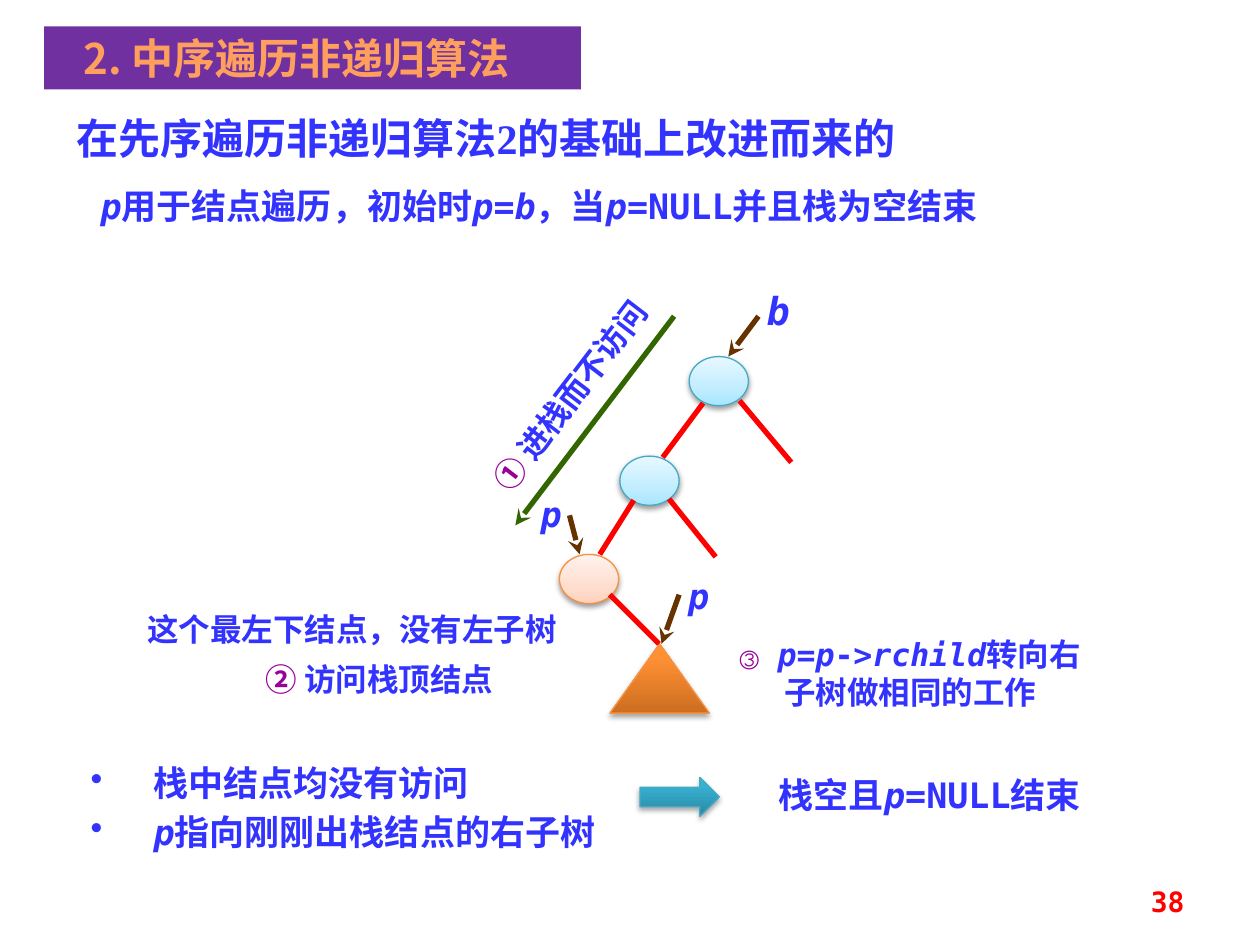
from lxml import etree
from pptx import Presentation
from pptx import util as u
from pptx.dml.color import RGBColor
from pptx.enum import shapes, text
from pptx.oxml import parse_xml
from pptx.oxml import ns

C = dict(purple="7030A0", orange="FF9F5D", blue="3333FF", mark="990099",
         edge="FF0000", brown="663300", green="336600", number="FF0000",
         teal="46AAC5", rust="F69240", shadow="000000")
CYAN = [(0, "A7E6FF"), (35, "C1EDFF"), (100, "E7F8FF")]
PEACH = [(0, "FFD2BD"), (35, "FFDED0"), (100, "FFF2ED")]
AMBER = [(0, "CC6E20"), (80, "FF9034"), (100, "FF9136")]
TEAL = [(0, "2A88A2"), (80, "37B1D2"), (100, "34B4D6")]
MONO, SERIF, SANS = "DejaVu Sans Mono", "Times New Roman", "Noto Sans CJK SC"
SHAPE, ALIGN = shapes.MSO_SHAPE, text.PP_ALIGN


def rgb(name):
    return RGBColor.from_string(C[name])


def inches(*values):
    return [u.Inches(v) for v in values]


def add_run(p, words, size, font, color, italic=False):
    r = p.add_run()
    r.text = words
    f = r.font
    f.size, f.name, f.bold, f.italic = u.Pt(size), font, True, italic
    f.color.rgb = rgb(color)
    ea = etree.SubElement(r._r.get_or_add_rPr(), ns.qn("a:ea"))
    ea.set("typeface", SANS)


def write(sp, *lines, size=20, font=MONO, color="blue", mark="", align=ALIGN.LEFT,
          inset=0.0, spacing=None, bullet=False, anchor=text.MSO_ANCHOR.TOP):
    """Fill a shape with paragraphs; words between asterisks are italic."""
    tf = sp.text_frame
    tf.word_wrap, tf.auto_size = True, text.MSO_AUTO_SIZE.NONE
    tf.vertical_anchor = anchor
    tf.margin_left = tf.margin_right = u.Inches(inset)
    tf.margin_top = tf.margin_bottom = u.Inches(inset / 2)
    for i, line in enumerate(lines):
        p = tf.add_paragraph() if i else tf.paragraphs[0]
        p.alignment = align
        if spacing:
            p.line_spacing = spacing
        if bullet:
            pPr = p._p.get_or_add_pPr()
            pPr.set("marL", str(u.Inches(0.5)))
            pPr.set("indent", str(u.Inches(-0.5)))
            etree.SubElement(pPr, ns.qn("a:buChar")).set("char", "•")
        if mark:
            add_run(p, mark, size, font, "mark")
        for k, words in enumerate(line.split("*")):
            if words:
                add_run(p, words, size, font, color, italic=k % 2 == 1)
    return sp


def add_text(s, box, *lines, **fmt):
    return write(s.shapes.add_textbox(*inches(*box)), *lines, **fmt)


def add_solid(s, kind, box, stops, line, alpha=35, dist=1.8):
    """Shape with an upward gradient and a soft shadow below it."""
    sp = s.shapes.add_shape(kind, *inches(*box))
    sp.fill.gradient()
    sp.fill.gradient_angle = 90
    gs_list = sp._element.spPr.find(".//" + ns.qn("a:gsLst"))
    for gs in list(gs_list):
        gs_list.remove(gs)
    for pos, color in stops:
        gs = etree.SubElement(gs_list, ns.qn("a:gs"), pos=str(pos * 1000))
        etree.SubElement(gs, ns.qn("a:srgbClr"), val=color)
    sp.line.color.rgb = rgb(line)
    sp.line.width = u.Pt(0.75)
    sp._element.spPr.append(parse_xml(
        f'<a:effectLst {ns.nsdecls("a")}><a:outerShdw blurRad="{u.Pt(3.1)}" '
        f'dist="{u.Pt(dist)}" dir="5400000" rotWithShape="0">'
        f'<a:srgbClr val="{C["shadow"]}"><a:alpha val="{alpha * 1000}"/></a:srgbClr>'
        '</a:outerShdw></a:effectLst>'))


def add_line(s, x1, y1, x2, y2, color, arrow=False):
    ln = s.shapes.add_connector(shapes.MSO_CONNECTOR.STRAIGHT, *inches(x1, y1, x2, y2))
    ln.line.color.rgb = rgb(color)
    ln.line.width = u.Pt(3)
    if arrow:
        etree.SubElement(ln.line._get_or_add_ln(), ns.qn("a:tailEnd"), type="stealth")
    etree.SubElement(ln._element.spPr, ns.qn("a:effectLst"))


def add_title(s, box):
    sp = s.shapes.title
    sp.left, sp.top, sp.width, sp.height = inches(*box)
    sp.fill.solid()
    sp.fill.fore_color.rgb = rgb("purple")
    write(sp, "2. 中序遍历非递归算法", size=24, font=SANS, color="orange",
          align=ALIGN.CENTER, inset=0.1)
    sp.text_frame.margin_right = u.Inches(0.35)


def add_intro(s, x, y):
    add_text(s, (x, y, 6.93, 0.5), "在先序遍历非递归算法2的基础上改进而来的",
             size=24, font=SERIF, inset=0.1)
    add_text(s, (x + 0.19, y + 0.64, 8.31, 0.37),
             "*p*用于结点遍历，初始时*p*=*b*，当*p*=NULL并且栈为空结束",
             inset=0.1, spacing=0.8)


def add_tree(s, x, y):
    # Nodes and right subtree
    for dx, dy, stops, line in [(2.06, 0.55, CYAN, "teal"), (1.51, 1.34, CYAN, "teal"),
                                (1.03, 2.12, PEACH, "rust")]:
        add_solid(s, SHAPE.OVAL, (x + dx, y + dy, 0.47, 0.39), stops, line,
                  alpha=38, dist=1.6)
    add_solid(s, SHAPE.ISOSCELES_TRIANGLE, (x + 1.43, y + 2.83, 0.79, 0.55), AMBER, "rust")

    # Edges
    for x1, y1, x2, y2 in [(2.17, 0.92, 1.85, 1.35), (1.62, 1.69, 1.35, 2.12),
                           (2.46, 0.90, 2.87, 1.39), (1.90, 1.68, 2.27, 2.14),
                           (1.43, 2.44, 1.82, 2.83)]:
        add_line(s, x + x1, y + y1, x + x2, y + y2, "edge")

    # Pointers: name, label corner, size, arrow ends
    for name, dx, dy, size, x1, y1, x2, y2 in [
            ("b", 2.61, 0, 22, 2.61, 0.23, 2.37, 0.55),
            ("p", 0.81, 1.63, 20, 1.11, 1.81, 1.19, 2.12),
            ("p", 1.98, 2.28, 20, 1.98, 2.44, 1.84, 2.83)]:
        add_line(s, x + x1, y + y1, x + x2, y + y2, "brown", arrow=True)
        add_text(s, (x + dx, y + dy, 0.31, size / 60), f"*{name}*", size=size,
                 align=ALIGN.CENTER)

    # Push direction
    add_line(s, x + 1.94, y + 0.23, x + 0.68, y + 1.89, "green", arrow=True)
    push = add_text(s, (x, y + 0.66, 2.23, 0.4), "进栈而不访问", mark="① ", size=18,
                    font=SERIF, align=ALIGN.CENTER, inset=0.1)
    push.rotation = 307.4


def add_steps(s, x, y):
    fmt = dict(size=18, font=SERIF, spacing=u.Pt(20))
    add_text(s, (x, y, 3.36, 0.28), "这个最左下结点，没有左子树", **fmt)
    add_text(s, (x + 0.94, y + 0.4, 1.95, 0.28), "访问栈顶结点", mark="② ", **fmt)
    add_text(s, (x + 4.69, y + 0.18, 2.73, 0.61), "*p*=*p*->*rchild*转向右子树做相同的工作",
             mark="③ ", size=18, align=ALIGN.CENTER)


def add_summary(s, x, y):
    add_text(s, (x, y, 4.22, 0.89), "栈中结点均没有访问", "*p*指向刚刚出栈结点的右子树",
             inset=0.1, spacing=u.Pt(28), bullet=True)
    add_solid(s, SHAPE.RIGHT_ARROW, (x + 4.46, y + 0.23, 0.63, 0.31), TEAL, "teal")
    add_text(s, (x + 5.08, y + 0.15, 3.36, 0.44), "栈空且*p*=NULL结束",
             align=ALIGN.CENTER, inset=0.1)


def main():
    prs = Presentation()
    prs.slide_width, prs.slide_height = inches(10, 7.5)
    s = prs.slides.add_slide(prs.slide_layouts[5])
    add_title(s, (0.35, 0.21, 4.26, 0.5))
    add_intro(s, 0.51, 0.84)
    add_tree(s, 3.41, 2.28)
    add_steps(s, 1.17, 4.86)
    add_summary(s, 0.62, 5.94)
    # Page number
    add_text(s, (7.17, 6.95, 2.33, 0.4), "38", size=16, color="number",
             align=ALIGN.RIGHT, inset=0.1, anchor=text.MSO_ANCHOR.MIDDLE)
    prs.save("out.pptx")


if __name__ == "__main__":
    main()
